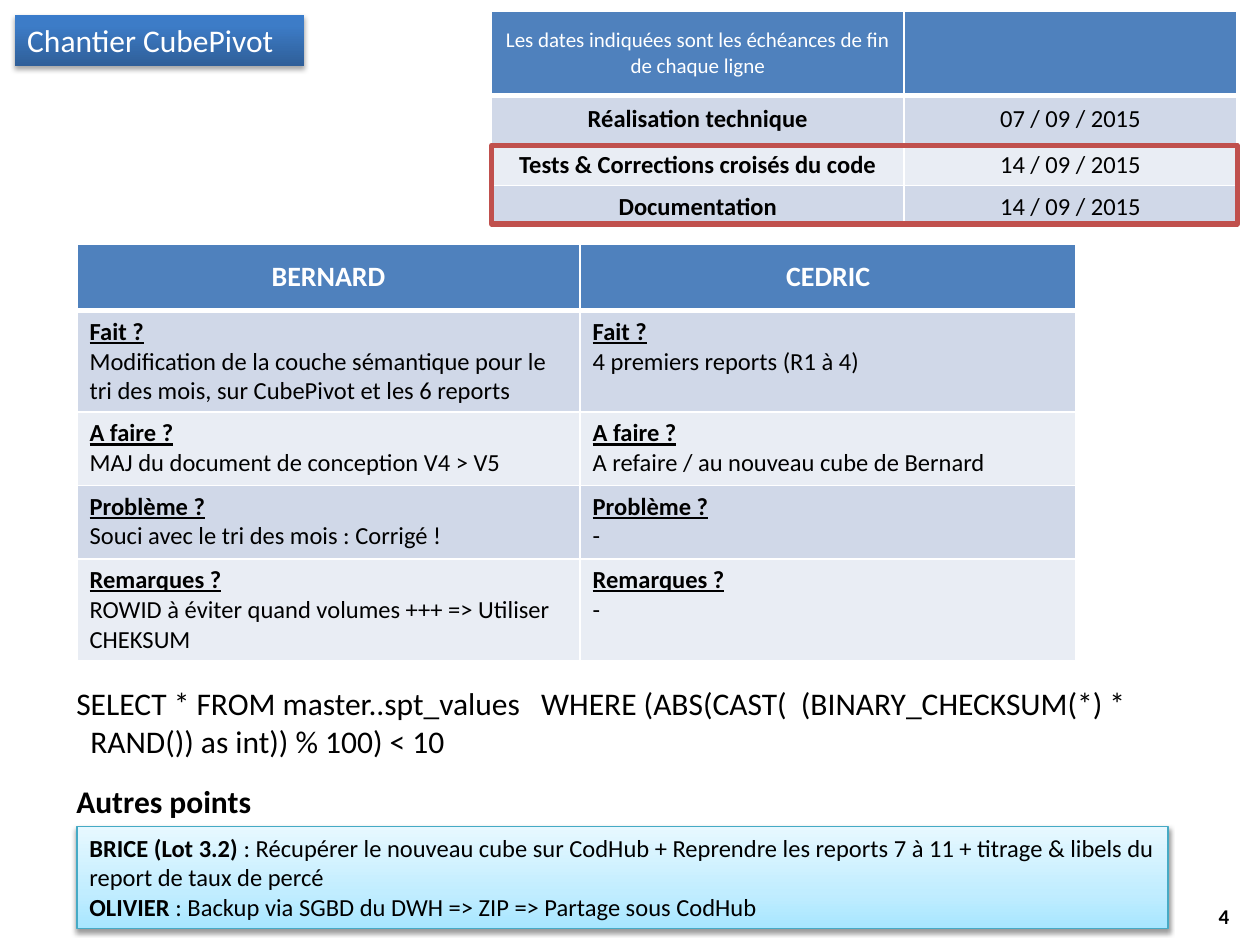
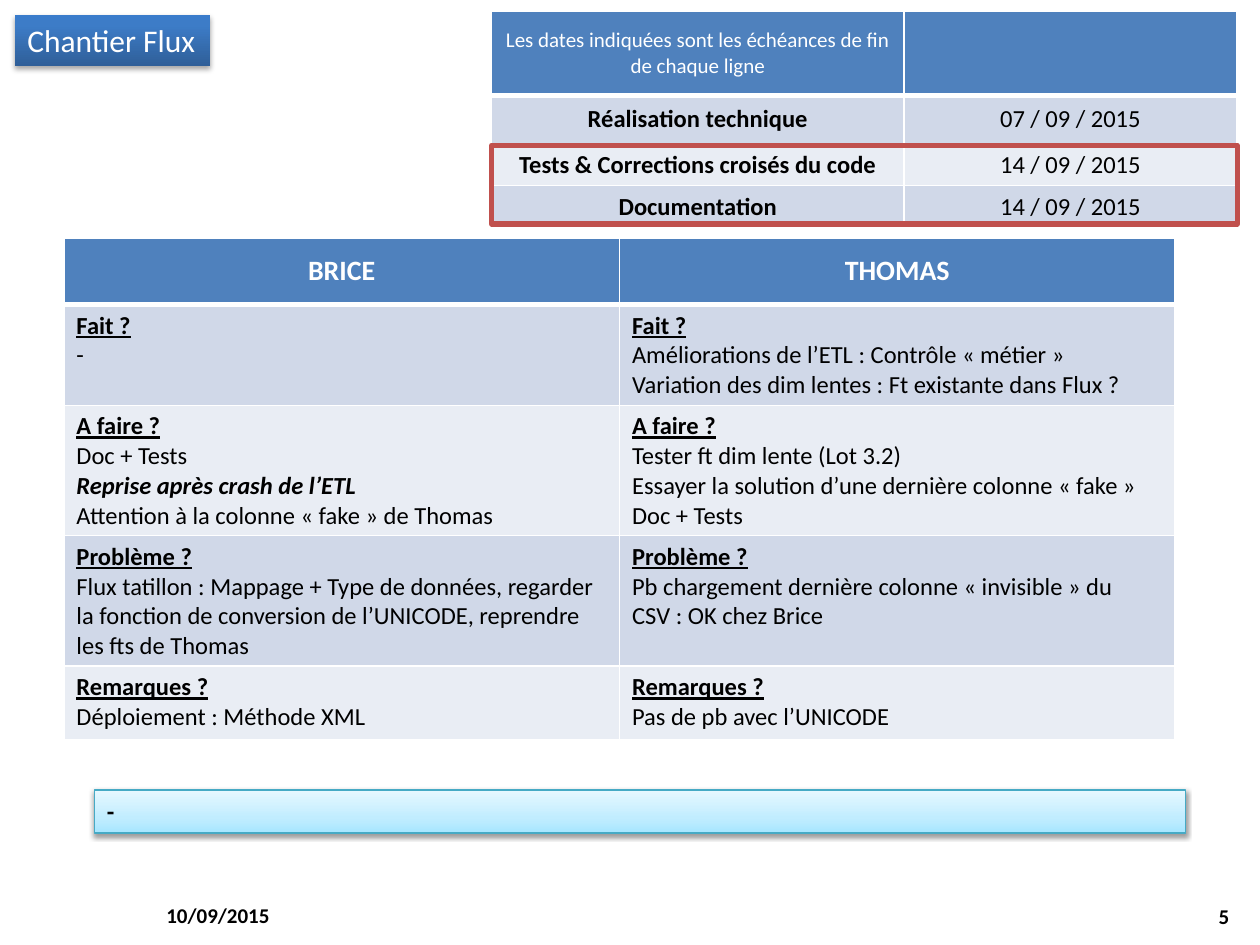
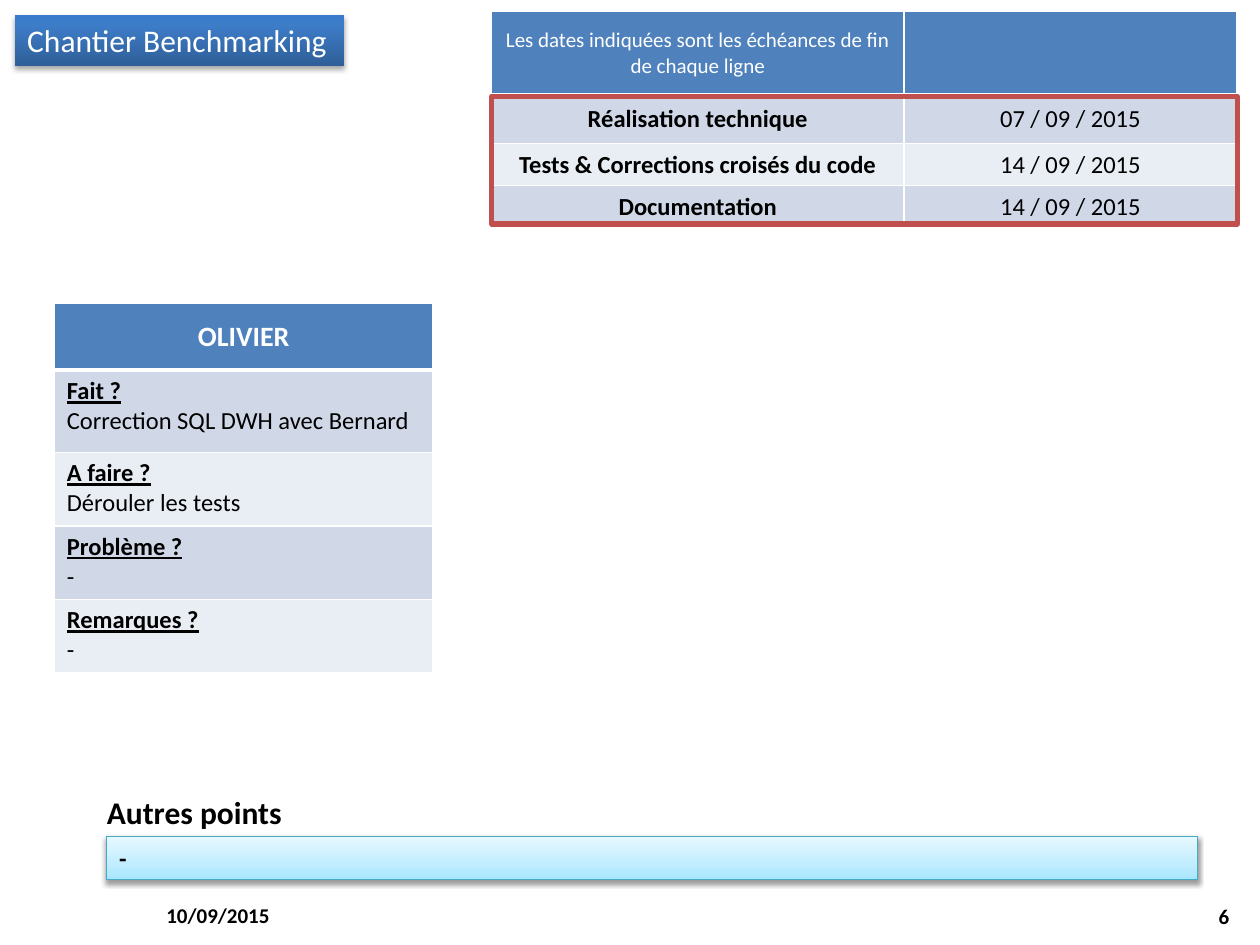
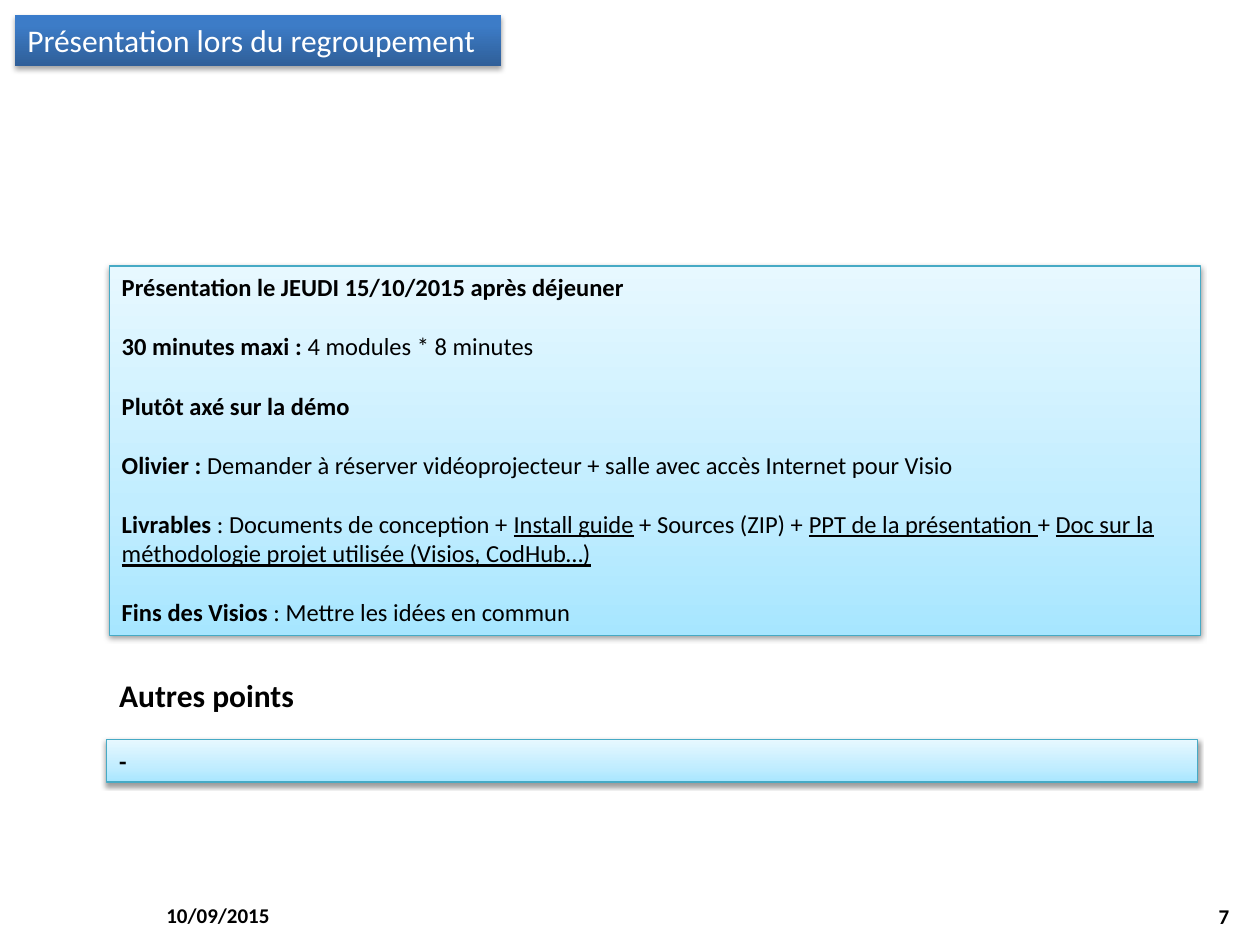
from dataclasses import dataclass
from typing import NamedTuple

from pptx import Presentation
from pptx.dml.color import RGBColor
from pptx.enum.shapes import MSO_SHAPE
from pptx.enum.text import MSO_ANCHOR, PP_ALIGN
from pptx.oxml import parse_xml
from pptx.oxml.ns import nsdecls, qn
from pptx.util import Pt

RECT = MSO_SHAPE.RECTANGLE
LEFT, CENTER, RIGHT = PP_ALIGN.LEFT, PP_ALIGN.CENTER, PP_ALIGN.RIGHT
TOP, MIDDLE = MSO_ANCHOR.TOP, MSO_ANCHOR.MIDDLE


@dataclass(frozen=True)
class Theme:
    """Colours, fonts and type sizes of the deck."""
    font: str = "Calibri"
    black: str = "000000"
    white: str = "FFFFFF"
    header: str = "4F81BD"
    bands: tuple = ("D0D8E8", "E9EDF4")
    highlight: str = "C0504D"
    panel_line: str = "46AAC5"
    title_stops: tuple = ((0, "2F5F99"), (80, "3D7CC7"), (100, "3A7CCB"))
    panel_stops: tuple = ((0, "A7E6FF"), (35, "C1EDFF"), (100, "E7F8FF"))
    title: int = 18
    name: int = 16
    body: int = 14
    small: int = 12


T = Theme()


class Box(NamedTuple):
    """A rectangle, in points."""
    x: float
    y: float
    w: float
    h: float

    def lengths(self) -> list:
        """Return the four values as lengths."""
        return [Pt(v) for v in self]


class Span(NamedTuple):
    """A piece of text; style holds any of the letters b, i and u."""
    text: str
    style: str = ""


class Person(NamedTuple):
    """One column of a review table: a name and an answer per question."""
    name: str
    answers: tuple


class Review(NamedTuple):
    """Place, column widths, row heights and people of a review table."""
    x: float
    y: float
    widths: tuple
    heights: tuple
    people: tuple


QUESTIONS = ("Fait ?", "A faire ?", "Problème ?", "Remarques ?")
SCHEDULE = (
    ("Les dates indiquées sont les échéances de fin de chaque ligne", ""),
    ("Réalisation technique", "07 / 09 / 2015"),
    ("Tests & Corrections croisés du code", "14 / 09 / 2015"),
    ("Documentation", "14 / 09 / 2015"),
)
SCHEDULE_X, SCHEDULE_Y = 281, 6.5
SCHEDULE_WIDTHS, SCHEDULE_HEIGHTS = (235.5, 190.5), (48, 27.5, 24, 24)
FRAME_BOTTOM = 128
PANEL_WIDTH = 623.5
LINE_GAP = 17


def rgb(value: str) -> RGBColor:
    """Turn a hex string into a colour."""
    return RGBColor.from_string(value)


def write(p, line, size: int, color: str = T.black, align=LEFT) -> None:
    """Fill a paragraph with a string or a tuple of spans."""
    p.alignment = align
    for span in ((Span(line),) if isinstance(line, str) else line):
        r = p.add_run()
        r.text = span.text
        f = r.font
        f.name, f.size, f.color.rgb = T.font, Pt(size), rgb(color)
        f.bold, f.italic, f.underline = (k in span.style for k in "biu")


def write_lines(tf, lines, size: int, color: str = T.black, align=LEFT,
                gap: float = 0) -> None:
    """Write one paragraph per line, with a gap between them."""
    tf.word_wrap = True
    for i, line in enumerate(lines):
        p = tf.add_paragraph() if i else tf.paragraphs[0]
        write(p, line, size, color, align)
        if i and gap:
            p.space_before = Pt(gap)


def add_text(s, box: Box, lines, size: int, align=LEFT, anchor=TOP):
    """Add a text box and return its text frame."""
    tf = s.shapes.add_textbox(*box.lengths()).text_frame
    tf.vertical_anchor = anchor
    write_lines(tf, lines, size, align=align)
    return tf


def add_gradient_box(s, box: Box, stops, alpha: int, distance: float):
    """Add a rectangle with an upward gradient and a soft shadow below."""
    sp = s.shapes.add_shape(RECT, *box.lengths())
    sp.fill.gradient()
    sp.fill.gradient_angle = 90
    stop_list = sp._element.spPr.find(qn("a:gradFill")).find(qn("a:gsLst"))
    for old in list(stop_list):
        stop_list.remove(old)
    for position, color in stops:
        stop_list.append(parse_xml(
            f'<a:gs {nsdecls("a")} pos="{position * 1000}">'
            f'<a:srgbClr val="{color}"/></a:gs>'))
    sp.line.fill.background()
    sp.shadow.inherit = False
    sp._element.spPr.find(qn("a:effectLst")).append(parse_xml(
        f'<a:outerShdw {nsdecls("a")} blurRad="{Pt(3.1)}" '
        f'dist="{Pt(distance)}" dir="5400000" rotWithShape="0">'
        f'<a:srgbClr val="{T.black}"><a:alpha val="{alpha * 1000}"/>'
        '</a:srgbClr></a:outerShdw>'))
    sp.text_frame.vertical_anchor = TOP
    return sp


def add_title(s, text: str, width: float) -> None:
    """Add the title label at the top left."""
    sp = add_gradient_box(s, Box(8.5, 8.5, width, 29), T.title_stops, 35, 1.8)
    sp.text_frame.margin_right = 0
    write_lines(sp.text_frame, [text], T.title, T.white)


def add_panel(s, x: float, y: float, height: float, lines,
              gap: float = 0) -> None:
    """Add a light blue panel of notes."""
    sp = add_gradient_box(s, Box(x, y, PANEL_WIDTH, height),
                          T.panel_stops, 38, 1.6)
    sp.line.color.rgb, sp.line.width = rgb(T.panel_line), Pt(0.75)
    write_lines(sp.text_frame, lines, T.body, gap=gap)


def add_other_points(s, x: float, y: float) -> None:
    """Add the heading of the other points."""
    tf = add_text(s, Box(x, y, 115, 29), [(Span("Autres points", "b"),)],
                  T.title)
    tf.paragraphs[0].space_before = tf.paragraphs[0].space_after = Pt(3)


def add_grid(s, x: float, y: float, widths, heights):
    """Add a table with a header row, banded rows and white borders."""
    box = Box(x, y, sum(widths), sum(heights))
    table = s.shapes.add_table(len(heights), len(widths),
                               *box.lengths()).table
    for column, width in zip(table.columns, widths):
        column.width = Pt(width)
    for i, (row, height) in enumerate(zip(table.rows, heights)):
        row.height = Pt(height)
        for cell in row.cells:
            edges = {"L": 1, "R": 1, "T": 3 if i == 1 else 1,
                     "B": 1 if i else 3}
            for side, width in edges.items():
                cell._tc.get_or_add_tcPr().append(parse_xml(
                    f'<a:ln{side} {nsdecls("a")} w="{Pt(width)}">'
                    f'<a:solidFill><a:srgbClr val="{T.white}"/></a:solidFill>'
                    f'</a:ln{side}>'))
            cell.fill.solid()
            color = T.bands[(i - 1) % 2] if i else T.header
            cell.fill.fore_color.rgb = rgb(color)
    return table


def add_schedule(s) -> None:
    """Add the table of deadlines at the top right."""
    table = add_grid(s, SCHEDULE_X, SCHEDULE_Y, SCHEDULE_WIDTHS,
                     SCHEDULE_HEIGHTS)
    for i, texts in enumerate(SCHEDULE):
        for j, text in enumerate(texts):
            cell = table.cell(i, j)
            cell.vertical_anchor = MIDDLE
            if text:
                style = "b" if i and j == 0 else ""
                write_lines(cell.text_frame, [(Span(text, style),)],
                            T.body if i else T.small,
                            T.black if i else T.white, CENTER)


def add_frame(s, top: float) -> None:
    """Frame the current deadlines, from top to the end of the schedule."""
    box = Box(SCHEDULE_X, top, sum(SCHEDULE_WIDTHS), FRAME_BOTTOM - top)
    sp = s.shapes.add_shape(RECT, *box.lengths())
    sp.shadow.inherit = False
    sp.fill.background()
    sp.line.color.rgb, sp.line.width = rgb(T.highlight), Pt(3)


def add_review(s, review: Review) -> None:
    """Add the table of answers, one column per person."""
    table = add_grid(s, review.x, review.y, review.widths, review.heights)
    for j, person in enumerate(review.people):
        head = table.cell(0, j)
        head.vertical_anchor = MIDDLE
        write_lines(head.text_frame, [(Span(person.name, "b"),)],
                    T.name, T.white, CENTER)
        for i, (question, answer) in enumerate(
                zip(QUESTIONS, person.answers), 1):
            lines = [(Span(question, "bu"),), *answer]
            write_lines(table.cell(i, j).text_frame, lines, T.body)


def add_slide(prs, number: int, title: str, title_width: float,
              dated: bool = True):
    """Add a slide with its title, number and date."""
    s = prs.slides.add_slide(prs.slide_layouts[6])
    if dated:
        add_text(s, Box(88, 508.5, 168, 29), [(Span("10/09/2015", "b"),)],
                 T.small, anchor=MIDDLE)
    add_text(s, Box(541.5, 509, 168, 29), [(Span(str(number), "b"),)],
             T.small, RIGHT, MIDDLE)
    add_title(s, title, title_width)
    return s


def build_pivot(prs) -> None:
    """Build the slide on the pivot work."""
    s = add_slide(prs, 4, "Chantier CubePivot", 165.5, dated=False)
    add_schedule(s)
    add_review(s, Review(44, 139.5, (287.5, 283.5), (38, 58, 42, 42, 58), (
        Person("BERNARD", (
            ("Modification de la couche sémantique pour le tri des mois, "
             "sur CubePivot et les 6 reports",),
            ("MAJ du document de conception V4 > V5",),
            ("Souci avec le tri des mois : Corrigé !",),
            ("ROWID à éviter quand volumes +++ => Utiliser CHEKSUM",))),
        Person("CEDRIC", (
            ("4 premiers reports (R1 à 4)",),
            ("A refaire / au nouveau cube de Bernard",),
            ("-",),
            ("-",))),
    )))
    add_panel(s, 44, 472.5, 58, [
        (Span("BRICE (Lot 3.2) ", "b"),
         Span(": Récupérer le nouveau cube sur CodHub + Reprendre les reports "
              "7 à 11 + titrage & libels du report de taux de percé")),
        (Span("OLIVIER", "b"),
         Span(" : Backup via SGBD du DWH => ZIP => Partage sous CodHub")),
    ])
    add_other_points(s, 36.5, 443.5)
    add_frame(s, 83)
    tf = add_text(s, Box(36.5, 387.5, 652.5, 51), [
        "SELECT * FROM master..spt_values   WHERE "
        "(ABS(CAST(  (BINARY_CHECKSUM(*) *",
        "RAND()) as int)) % 100) < 10"], T.title)
    tf.paragraphs[1]._p.get_or_add_pPr().set("marL", str(Pt(8)))


def build_loading(prs) -> None:
    """Build the slide on the data loading work."""
    s = add_slide(prs, 5, "Chantier Flux", 111.5)
    add_review(s, Review(36.5, 136, (317.5, 317.5), (38, 57.5, 74.5, 74.5, 42), (
        Person("BRICE", (
            ("-",),
            ("Doc + Tests",
             (Span("Reprise après crash de l’ETL", "bi"),),
             "Attention à la colonne «\u00a0fake\u00a0» de Thomas"),
            ("Flux tatillon : Mappage + Type de données, regarder la fonction "
             "de conversion de l’UNICODE, reprendre les fts de Thomas",),
            ("Déploiement : Méthode XML",))),
        Person("THOMAS", (
            ("Améliorations de l’ETL : Contrôle «\u00a0métier\u00a0»",
             "Variation des dim lentes : Ft existante dans Flux ?"),
            ("Tester ft dim lente (Lot 3.2)",
             "Essayer la solution d’une dernière colonne «\u00a0fake\u00a0»",
             "Doc + Tests"),
            ("Pb chargement dernière colonne «\u00a0invisible\u00a0» du CSV : "
             "OK chez Brice",),
            ("Pas de pb avec l’UNICODE",))),
    )))
    add_panel(s, 54, 451.5, 24.5, [(Span("-", "b"),)])
    add_schedule(s)
    add_frame(s, 83)


def build_benchmark(prs) -> None:
    """Build the slide on the benchmarking work."""
    s = add_slide(prs, 6, "Chantier Benchmarking", 188)
    add_review(s, Review(31, 173.5, (216.5,), (38, 47, 42, 42, 42), (
        Person("OLIVIER", (
            ("Correction SQL DWH avec Bernard",),
            ("Dérouler les tests",),
            ("-",),
            ("-",))),
    )))
    add_panel(s, 61, 478, 24.5, [(Span("-", "b"),)])
    add_other_points(s, 54, 449.5)
    add_schedule(s)
    add_frame(s, 55)


def build_meeting(prs) -> None:
    """Build the slide on the closing presentation."""
    s = add_slide(prs, 7, "Présentation lors du regroupement", 278)
    add_other_points(s, 61, 383)
    add_panel(s, 61, 422.5, 24.5, [(Span("-", "b"),)])
    add_panel(s, 62.5, 152, 211, [
        (Span("Présentation le JEUDI 15/10/2015 après déjeuner", "b"),),
        (Span("30 minutes maxi : ", "b"), Span("4 modules * 8 minutes")),
        (Span("Plutôt axé sur la démo", "b"),),
        (Span("Olivier : ", "b"),
         Span("Demander à réserver vidéoprojecteur + salle avec accès "
              "Internet pour Visio")),
        (Span("Livrables", "b"), Span(" : Documents de conception + "),
         Span("Install guide", "u"), Span(" + Sources (ZIP) + "),
         Span("PPT de la présentation ", "u"), Span("+ "),
         Span("Doc sur la méthodologie projet utilisée (Visios, CodHub…)",
              "u")),
        (Span("Fins des Visios ", "b"), Span(": Mettre les idées en commun")),
    ], gap=LINE_GAP)


def main() -> None:
    """Build and save the deck."""
    prs = Presentation()
    prs.slide_width, prs.slide_height = Pt(720), Pt(540)
    for build in (build_pivot, build_loading, build_benchmark, build_meeting):
        build(prs)
    prs.save("out.pptx")


main()
